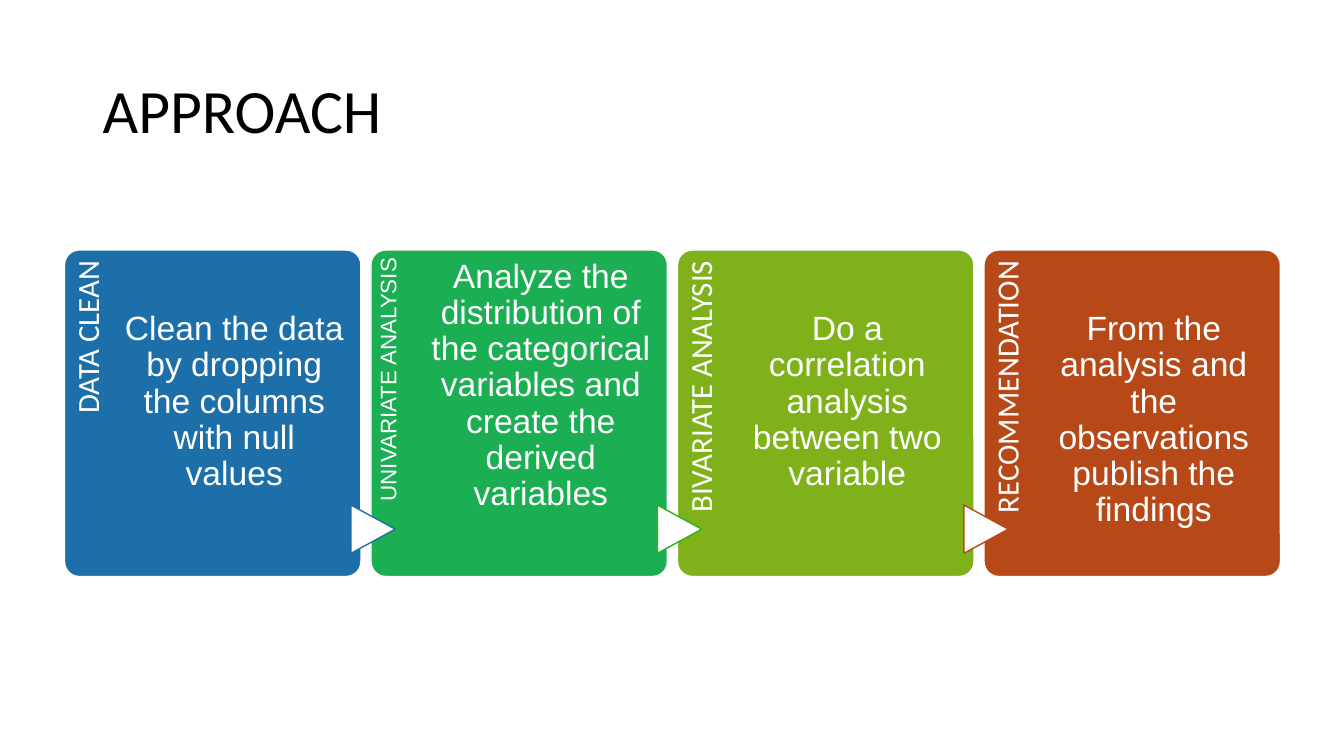
import pptx
import pptx.util
import pptx.dml.color
import pptx.enum.shapes
import pptx.enum.text

SLIDE_WIDTH, SLIDE_HEIGHT = 13.33, 7.5
WHITE, BLACK = "FFFFFF", "000000"
TITLE = "APPROACH"
STEPS = [
    {"label": "DATA CLEAN", "font": "Calibri", "size": 22, "insets": (0, 0.08, 0.11, 0),
     "body": "Clean the data by dropping the columns with null values",
     "body_top": 0.61, "fill": "1D6FA9", "arrow": None},
    {"label": "UNIVARIATE ANALYSIS", "font": "Arial", "size": 16, "insets": (0, 0.06, 0.08, 0),
     "body": "Analyze the distribution of the categorical variables and create the derived variables",
     "body_top": 0.09, "fill": "1CAE53", "arrow": "1D6FA9"},
    {"label": "BIVARIATE ANALYSIS", "font": "Calibri", "size": 22, "insets": (0, 0.08, 0.11, 0),
     "body": "Do a correlation analysis between two variable",
     "body_top": 0.61, "fill": "7FB21A", "arrow": "30B01B"},
    {"label": "RECOMMENDATION", "font": "Calibri", "size": 22, "insets": (0, 0.08, 0.11, 0),
     "body": "From the analysis and the observations publish the findings",
     "body_top": 0.61, "fill": "B74919", "arrow": "B74919"},
]

CARDS_LEFT, CARDS_TOP = 0.64, 2.48
CARD_WIDTH, CARD_HEIGHT, CARD_GAP = 2.94, 3.24, 0.1
STRIP_WIDTH = CARD_WIDTH * 0.2
STRIP_HEIGHT = CARD_HEIGHT * 0.82
BODY_WIDTH = CARD_WIDTH * 0.745
ARROW_WIDTH, ARROW_HEIGHT = 0.48, 0.44
ARROW_TOP = 5.03

ALIGN = pptx.enum.text.PP_ALIGN
ANCHOR = pptx.enum.text.MSO_ANCHOR
SHAPE = pptx.enum.shapes.MSO_SHAPE


def color(value):
    return pptx.dml.color.RGBColor.from_string(value)


def inches(values):
    return [pptx.util.Inches(value) for value in values]


def add_text(slide, box, text, font, size, ink, align, anchor, insets):
    shape = slide.shapes.add_textbox(*inches(box))
    frame = shape.text_frame
    frame.word_wrap = True
    frame.vertical_anchor = anchor
    frame.margin_left, frame.margin_top, frame.margin_right, frame.margin_bottom = inches(insets)
    paragraph = frame.paragraphs[0]
    paragraph.alignment = align
    paragraph.line_spacing = 0.9
    run = paragraph.add_run()
    run.text = text
    run.font.name = font
    run.font.size = pptx.util.Pt(size)
    run.font.color.rgb = color(ink)
    return shape


def add_block(slide, kind, box, fill, line):
    shape = slide.shapes.add_shape(kind, *inches(box))
    shape.shadow.inherit = False
    shape.fill.solid()
    shape.fill.fore_color.rgb = color(fill)
    shape.line.color.rgb = color(line)
    shape.line.width = pptx.util.Pt(1)
    return shape


def add_step(slide, index, step):
    left = CARDS_LEFT + index * (CARD_WIDTH + CARD_GAP)
    card = add_block(slide, SHAPE.ROUNDED_RECTANGLE,
                     (left, CARDS_TOP, CARD_WIDTH, CARD_HEIGHT), step["fill"], WHITE)
    card.adjustments[0] = 0.05

    label_box = (left + (STRIP_WIDTH - STRIP_HEIGHT) / 2,
                 CARDS_TOP + (STRIP_HEIGHT - STRIP_WIDTH) / 2, STRIP_HEIGHT, STRIP_WIDTH)
    label = add_text(slide, label_box, step["label"], step["font"], step["size"], WHITE,
                     ALIGN.RIGHT, ANCHOR.TOP, step["insets"])
    label.rotation = 270

    if step["arrow"]:
        arrow_box = (left - 0.22, ARROW_TOP, ARROW_WIDTH, ARROW_HEIGHT)
        arrow = add_block(slide, SHAPE.FLOWCHART_EXTRACT, arrow_box, WHITE, step["arrow"])
        arrow.rotation = 90

    add_text(slide, (left + STRIP_WIDTH, CARDS_TOP, BODY_WIDTH, CARD_HEIGHT), step["body"],
             "Arial", 24, WHITE, ALIGN.CENTER, ANCHOR.TOP, (0, step["body_top"], 0, 0))


def main():
    presentation = pptx.Presentation()
    presentation.slide_width, presentation.slide_height = inches((SLIDE_WIDTH, SLIDE_HEIGHT))
    slide = presentation.slides.add_slide(presentation.slide_layouts[6])
    add_text(slide, (0.92, 0.4, 11.5, 1.45), TITLE, "Calibri", 44, BLACK,
             ALIGN.LEFT, ANCHOR.MIDDLE, (0.1, 0.05, 0.1, 0.05))
    for index, step in enumerate(STEPS):
        add_step(slide, index, step)
    presentation.save("out.pptx")


if __name__ == "__main__":
    main()
